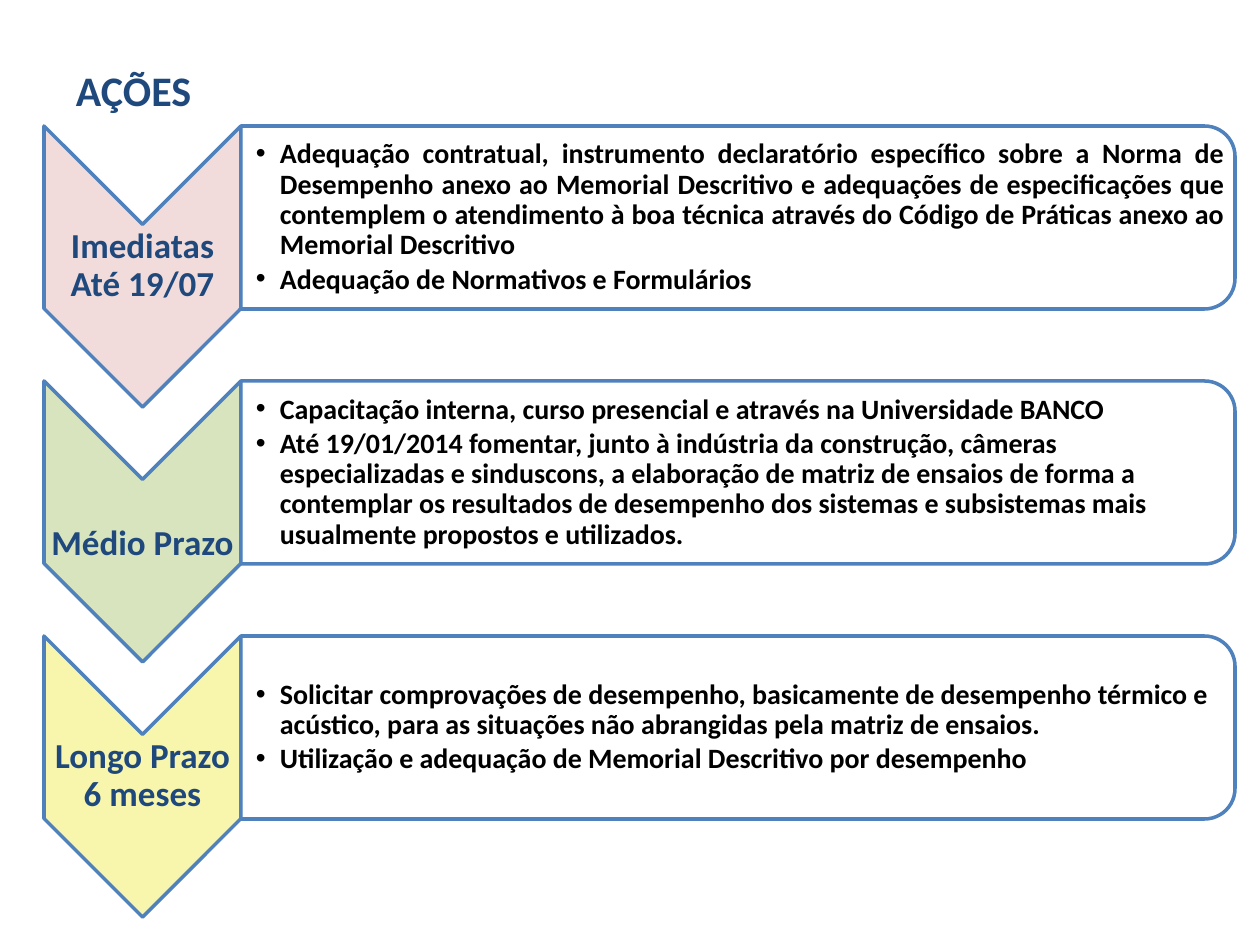
from dataclasses import dataclass

from lxml.etree import SubElement
from pptx import Presentation
from pptx.dml.color import RGBColor
from pptx.enum.shapes import MSO_SHAPE
from pptx.enum.text import MSO_ANCHOR, MSO_AUTO_SIZE, PP_ALIGN
from pptx.oxml.ns import qn
from pptx.util import Pt

PX = 914400 / 126


def px(n):
    return round(n * PX)


@dataclass(frozen=True)
class Theme:
    font: str = "Calibri"
    heading: str = "1F497D"
    text: str = "000000"
    line: str = "4F81BD"
    panel: str = "FFFFFF"
    title_size: int = 24
    label_size: int = 20
    body_size: int = 16
    line_width: int = 2


class Deck:
    def __init__(self, prs, layout, theme):
        self.theme = theme
        self.s = prs.slides.add_slide(layout)

    def place(self, sp, x, y, w, h):
        sp.left, sp.top, sp.width, sp.height = px(x), px(y), px(w), px(h)

    def frame(self, sp, anchor, left=1, other=1):
        tf = sp.text_frame
        tf.word_wrap = True
        tf.auto_size = MSO_AUTO_SIZE.NONE
        tf.vertical_anchor = anchor
        tf.margin_left = px(left)
        tf.margin_top = tf.margin_right = tf.margin_bottom = px(other)
        return tf

    def run(self, p, text, size, color):
        r = p.add_run()
        r.text = text
        r.font.name = self.theme.font
        r.font.size = Pt(size)
        r.font.bold = True
        r.font.color.rgb = RGBColor.from_string(color)

    def title(self, text, x, y, w, h):
        sp = self.s.shapes.title
        self.place(sp, x, y, w, h)
        p = self.frame(sp, MSO_ANCHOR.MIDDLE, 13).paragraphs[0]
        p.alignment = PP_ALIGN.LEFT
        self.run(p, text, self.theme.title_size, self.theme.heading)

    def turned_shape(self, kind, fill, x, y, w, h):
        sp = self.s.shapes.add_shape(
            kind, px(x + (w - h) / 2), px(y + (h - w) / 2), px(h), px(w))
        sp.rotation = 90
        sp.shadow.inherit = False
        sp.fill.solid()
        sp.fill.fore_color.rgb = RGBColor.from_string(fill)
        sp.line.color.rgb = RGBColor.from_string(self.theme.line)
        sp.line.width = Pt(self.theme.line_width)
        return sp

    def panel(self, x, y, w, h):
        sp = self.turned_shape(
            MSO_SHAPE.ROUND_2_SAME_RECTANGLE, self.theme.panel, x, y, w, h)
        color = sp.element.spPr.find(qn("a:solidFill"))[0]
        SubElement(color, qn("a:alpha")).set("val", "90000")

    def label(self, text, anchor, x, y, w, h):
        sp = self.s.shapes.add_textbox(px(x), px(y), px(w), px(h))
        p = self.frame(sp, anchor).paragraphs[0]
        p.alignment = PP_ALIGN.CENTER
        p.line_spacing = 0.9
        self.run(p, text, self.theme.label_size, self.theme.heading)

    def bullets(self, idx, items, x, y, w, h):
        sp = self.s.placeholders[idx]
        self.place(sp, x, y, w, h)
        sp.element.getparent().append(sp.element)
        tf = self.frame(sp, MSO_ANCHOR.MIDDLE, 15)
        for i, (text, align) in enumerate(items):
            p = tf.paragraphs[0] if i == 0 else tf.add_paragraph()
            pPr = p._p.get_or_add_pPr()
            pPr.set("marL", str(px(24)))
            pPr.set("indent", str(px(-24)))
            SubElement(pPr, qn("a:buFont")).set("typeface", "Arial")
            SubElement(pPr, qn("a:buChar")).set("char", "•")
            p.alignment = align
            p.line_spacing = 0.9
            p.space_before = Pt(0)
            p.space_after = Pt(2.4)
            self.run(p, text, self.theme.body_size, self.theme.text)

    def remove_empty(self):
        for sp in list(self.s.placeholders):
            if not sp.text_frame.text:
                sp.element.getparent().remove(sp.element)


LEFT, JUSTIFY = PP_ALIGN.LEFT, PP_ALIGN.JUSTIFY
STAGES = [
    ("Imediatas Até 19/07", MSO_ANCHOR.MIDDLE, "F2DCDB", [
        ("Adequação contratual, instrumento declaratório específico sobre a "
         "Norma de Desempenho anexo ao Memorial Descritivo e adequações de "
         "especificações que contemplem o atendimento à boa técnica através "
         "do Código de Práticas anexo ao Memorial Descritivo", JUSTIFY),
        ("Adequação de Normativos e Formulários", LEFT)]),
    ("Médio Prazo", MSO_ANCHOR.BOTTOM, "D7E4BD", [
        ("Capacitação interna, curso presencial e através na "
         "Universidade BANCO", LEFT),
        ("Até 19/01/2014 fomentar, junto à indústria da construção, câmeras "
         "especializadas e sinduscons, a elaboração de matriz de ensaios de "
         "forma a contemplar os resultados de desempenho dos sistemas e "
         "subsistemas mais usualmente propostos e utilizados.", LEFT)]),
    ("Longo Prazo 6 meses", MSO_ANCHOR.MIDDLE, "F8F6AC", [
        ("Solicitar comprovações de desempenho, basicamente de desempenho "
         "térmico e acústico, para as situações não abrangidas pela matriz "
         "de ensaios.", LEFT),
        ("Utilização e adequação de Memorial Descritivo por desempenho",
         LEFT)]),
]
TOP, PITCH = 126, 255


def main():
    prs = Presentation()
    prs.slide_width, prs.slide_height = px(1260), px(945)
    deck = Deck(prs, prs.slide_layouts.get_by_name("Comparison"), Theme())
    deck.title("AÇÕES", 63, 60, 1134, 60)
    for i, (name, anchor, fill, items) in enumerate(STAGES):
        y = TOP + i * PITCH
        deck.turned_shape(MSO_SHAPE.CHEVRON, fill, 44, y, 197, 281)
        deck.label(name, anchor, 44, y + 98, 197, 85)
        deck.panel(241, y, 994, 183)
        deck.bullets(i + 1, items, 241, y + 9, 985, 165)
    deck.remove_empty()
    prs.save("out.pptx")


if __name__ == "__main__":
    main()
